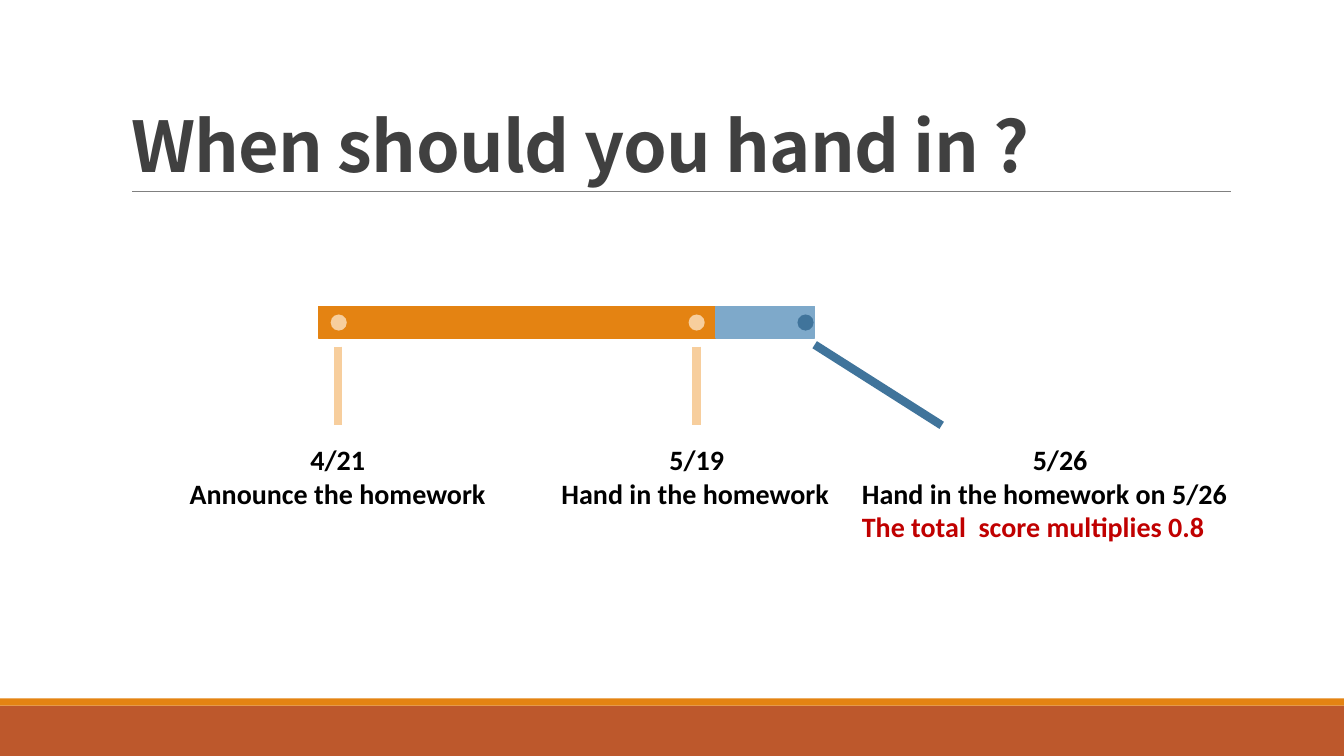
from dataclasses import dataclass

from lxml.etree import SubElement
from pptx import Presentation
from pptx.dml.color import RGBColor
from pptx.enum.shapes import MSO_CONNECTOR, MSO_SHAPE
from pptx.enum.text import MSO_ANCHOR, MSO_AUTO_SIZE as AutoSize, PP_ALIGN
from pptx.oxml.ns import qn
from pptx.slide import Slide
from pptx.util import Emu, Pt

EMU_PER_PX = 9144  # 100 px to the inch
COLORS = {
    "orange": "E48312",
    "rust": "BD582C",
    "peach": "F7CE9D",
    "sky": "7EA9CA",
    "steel": "40749B",
    "rule": "808080",
    "title": "404040",
    "text": "000000",
    "warning": "C00000",
}
DOT_SIZE = 16
DOT_TOP = 312
LABEL_TOP = 434
STEM_BOTTOM = 422


@dataclass(frozen=True)
class Bar:
    left: int
    top: int
    width: int
    height: int
    color: str
    outlined: bool = False


@dataclass(frozen=True)
class LabelLine:
    text: str
    centered: bool = False
    color: str = "text"


@dataclass(frozen=True)
class Milestone:
    dot_left: int
    stem_start: tuple[int, int]
    stem_end_x: int
    color: str
    label_left: int
    label_width: int
    label_height: int
    lines: tuple[LabelLine, ...]
    wrap: bool = False


BARS = (
    Bar(0, 700, 1333, 50, "rust"),
    Bar(0, 693, 1333, 7, "orange"),
    Bar(316, 304, 394, 31, "orange", outlined=True),
    Bar(710, 304, 98, 31, "sky", outlined=True),
)
MILESTONES = (
    Milestone(328, (335, 344), 335, "peach", 177, 316, 77, (
        LabelLine("4/21", centered=True),
        LabelLine("Announce the homework", centered=True),
    )),
    Milestone(683, (691, 344), 691, "peach", 547, 288, 77, (
        LabelLine("5/19", centered=True),
        LabelLine("Hand in the homework"),
    )),
    Milestone(791, (808, 342), 934, "steel", 845, 413, 111, (
        LabelLine("5/26", centered=True),
        LabelLine("Hand in the homework on 5/26"),
        LabelLine("The total  score multiplies 0.8", color="warning"),
    ), wrap=True),
)


def px(*lengths: int) -> list[Emu]:
    return [Emu(length * EMU_PER_PX) for length in lengths]


def rgb(name: str) -> RGBColor:
    return RGBColor.from_string(COLORS[name])


def apply_format(target: object, values: dict[str, object]) -> None:
    for name, value in values.items():
        setattr(target, name, value)


def add_filled(slide: Slide, kind: MSO_SHAPE, bar: Bar) -> None:
    shape = slide.shapes.add_shape(
        kind, *px(bar.left, bar.top, bar.width, bar.height))
    shape.shadow.inherit = False
    shape.fill.solid()
    shape.fill.fore_color.rgb = rgb(bar.color)
    if bar.outlined:
        shape.line.color.rgb = rgb(bar.color)
        shape.line.width = Pt(1.25)
    else:
        shape.line.fill.background()


def add_line(slide: Slide, start: tuple[int, int], end: tuple[int, int],
             color: str, width: float) -> None:
    connector = slide.shapes.add_connector(
        MSO_CONNECTOR.STRAIGHT, *px(*start, *end))
    connector.line.color.rgb = rgb(color)
    connector.line.width = Pt(width)
    SubElement(connector._element.spPr, qn("a:effectLst"))


def add_title(slide: Slide, text: str) -> None:
    title = slide.shapes.title
    left, top, width, height = px(120, 31, 1100, 159)
    apply_format(title, {"left": left, "top": top,
                         "width": width, "height": height})
    frame = title.text_frame
    apply_format(frame, {"text": text, "word_wrap": True,
                         "auto_size": AutoSize.NONE,
                         "vertical_anchor": MSO_ANCHOR.BOTTOM})
    paragraph = frame.paragraphs[0]
    apply_format(paragraph, {"alignment": PP_ALIGN.LEFT, "line_spacing": 0.85})
    run = paragraph.runs[0]
    apply_format(run.font, {"name": "Noto Sans CJK SC", "size": Pt(50),
                            "bold": True})
    run.font.color.rgb = rgb("title")
    run._r.get_or_add_rPr().set("spc", "-50")


def add_label(slide: Slide, milestone: Milestone) -> None:
    box = slide.shapes.add_textbox(*px(
        milestone.label_left, LABEL_TOP,
        milestone.label_width, milestone.label_height))
    frame = box.text_frame
    apply_format(frame, {"word_wrap": milestone.wrap,
                         "auto_size": AutoSize.SHAPE_TO_FIT_TEXT})
    for index, line in enumerate(milestone.lines):
        paragraph = frame.add_paragraph() if index else frame.paragraphs[0]
        paragraph.alignment = (
            PP_ALIGN.CENTER if line.centered else PP_ALIGN.LEFT)
        run = paragraph.add_run()
        run.text = line.text
        apply_format(run.font, {"name": "Calibri", "size": Pt(20),
                                "bold": True})
        run.font.color.rgb = rgb(line.color)


def add_milestone(slide: Slide, milestone: Milestone) -> None:
    """Draw the dot on the bar, its stem and the label below."""
    dot = Bar(milestone.dot_left, DOT_TOP, DOT_SIZE, DOT_SIZE, milestone.color)
    add_filled(slide, MSO_SHAPE.FLOWCHART_CONNECTOR, dot)
    add_line(slide, milestone.stem_start, (milestone.stem_end_x, STEM_BOTTOM),
             milestone.color, 6)
    add_label(slide, milestone)


def main() -> None:
    presentation = Presentation()
    presentation.slide_width, presentation.slide_height = px(1333, 750)
    slide = presentation.slides.add_slide(presentation.slide_layouts[5])
    add_title(slide, "When should you hand in ?")
    add_line(slide, (131, 190), (1221, 190), "rule", 0.5)
    for bar in BARS:
        add_filled(slide, MSO_SHAPE.RECTANGLE, bar)
    for milestone in MILESTONES:
        add_milestone(slide, milestone)
    presentation.save("out.pptx")


if __name__ == "__main__":
    main()
